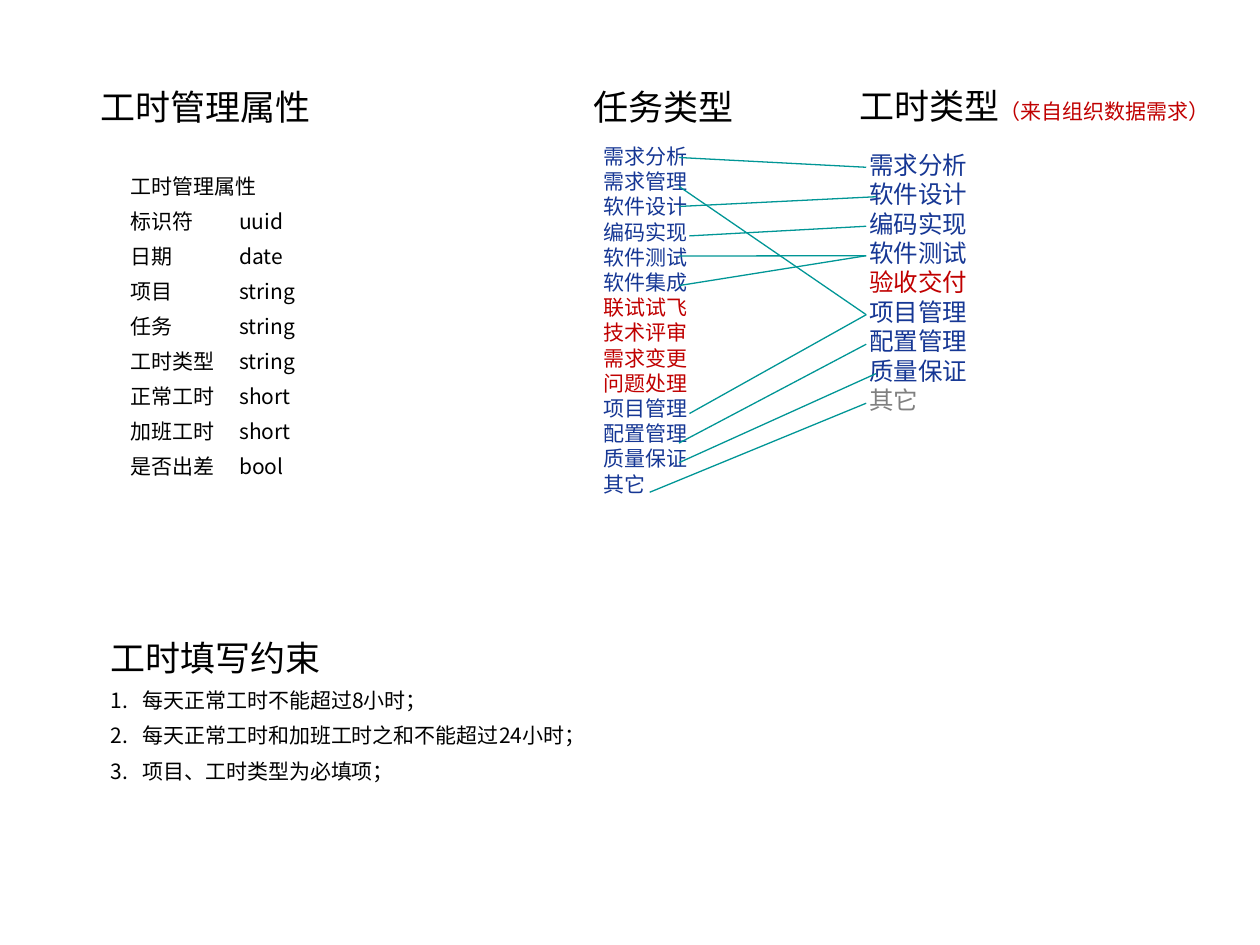
import pptx
import pptx.util
import pptx.dml.color
import pptx.enum.shapes
import pptx.oxml.ns
from lxml import etree

Pt = pptx.util.Pt
qn = pptx.oxml.ns.qn
FONT = "Noto Sans CJK SC"
COLORS = {"black": "000000", "blue": "163794", "red": "C00000",
          "gray": "808080", "teal": "009696"}

# Content
ATTRIBUTES = [("工时管理属性",), ("标识符", "uuid"), ("日期", "date"),
              ("项目", "string"), ("任务", "string"), ("工时类型", "string"),
              ("正常工时", "short"), ("加班工时", "short"), ("是否出差", "bool")]
CONSTRAINTS = ["每天正常工时不能超过8小时；",
               "每天正常工时和加班工时之和不能超过24小时；",
               "项目、工时类型为必填项；"]
TASK_TYPES = ["需求分析", "需求管理", "软件设计", "编码实现", "软件测试", "软件集成",
              "联试试飞", "技术评审", "需求变更", "问题处理",
              "项目管理", "配置管理", "质量保证", "其它"]
HOUR_TYPES = ["需求分析", "软件设计", "编码实现", "软件测试", "验收交付",
              "项目管理", "配置管理", "质量保证", "其它"]
TASK_COLORS = dict.fromkeys(["联试试飞", "技术评审", "需求变更", "问题处理"], "red")
HOUR_COLORS = {"验收交付": "red", "其它": "gray"}
# Task end (x, y), hour type reached, x of that end
LINKS = [(388, 90, "需求分析", 495), (388, 106.5, "项目管理", 495),
         (388, 118, "软件设计", 500.5), (394, 134.8, "编码实现", 495),
         (388, 146.3, "软件测试", 495), (388, 163.2, "软件测试", 495),
         (394, 236.3, "项目管理", 495), (388, 253.2, "配置管理", 495),
         (388, 264.4, "质量保证", 500.5), (371.3, 281.3, "其它", 495)]
LINK_TOP, LINK_STEP = 95.6, 16.85

prs = pptx.Presentation()
prs.slide_width, prs.slide_height = Pt(720), Pt(540)
s = prs.slides.add_slide(prs.slide_layouts[6])


def rgb(name):
    return pptx.dml.color.RGBColor.from_string(COLORS[name])


def style(font, size, color):
    font.size, font.name = Pt(size), FONT
    font.color.rgb = rgb(color)
    latin = font._element.find(qn("a:latin"))
    ea = etree.Element(qn("a:ea"), typeface=FONT)
    latin.addnext(ea)


def add_box(left, top, width, height):
    tf = s.shapes.add_textbox(Pt(left), Pt(top), Pt(width), Pt(height)).text_frame
    tf.word_wrap = True
    return tf


def add_line(tf, text, size, color="black", spacing=None):
    p = tf.paragraphs[0]
    if p.runs:
        p = tf.add_paragraph()
    p.add_run().text = text
    p.line_spacing = Pt(spacing or size * 1.2)
    style(p.font, size, color)
    return p


def add_property(p, tag, **attributes):
    el = etree.Element(qn(tag), **attributes)
    p._p.pPr.find(qn("a:defRPr")).addprevious(el)
    return el


# Attributes
add_line(add_box(50.4, 45.4, 242, 31.7), "工时管理属性", 20)
tf = add_box(67.7, 90, 124, 218)
for row in ATTRIBUTES:
    p = add_line(tf, "\t".join(row), 12, spacing=20)
    tabs = add_property(p, "a:tabLst")
    etree.SubElement(tabs, qn("a:tab"), pos=str(Pt(62)), algn="l")

# Constraints
tf = add_box(56.2, 360, 546, 126.7)
add_line(tf, "工时填写约束", 20)
for text in CONSTRAINTS:
    p = add_line(tf, text, 12, spacing=20)
    p._p.pPr.set("marL", str(Pt(18)))
    p._p.pPr.set("indent", str(Pt(-18)))
    add_property(p, "a:buFont", typeface=FONT)
    add_property(p, "a:buAutoNum", type="arabicPeriod")

# Task types
add_line(add_box(332, 45.4, 112.3, 31.7), "任务类型", 20)
tf = add_box(337.7, 78.5, 146, 211)
for text in TASK_TYPES:
    add_line(tf, text, 12, TASK_COLORS.get(text, "blue"))

# Hour types
p = add_line(add_box(483.8, 44.8, 219.6, 31.7), "工时类型", 20)
r = p.add_run()
r.text = "（来自组织数据需求）"
style(r.font, 12, "red")
tf = add_box(489.6, 82.1, 101.5, 160)
for text in HOUR_TYPES:
    add_line(tf, text, 14, HOUR_COLORS.get(text, "blue"))

# Links from task types to hour types
for x1, y1, target, x2 in LINKS:
    y2 = LINK_TOP + LINK_STEP * HOUR_TYPES.index(target)
    link = s.shapes.add_connector(pptx.enum.shapes.MSO_CONNECTOR.STRAIGHT,
                                  Pt(x1), Pt(y1), Pt(x2), Pt(y2))
    link.line.color.rgb = rgb("teal")
    link.line.width = Pt(0.75)
    etree.SubElement(link._element.spPr, qn("a:effectLst"))

prs.save("out.pptx")
